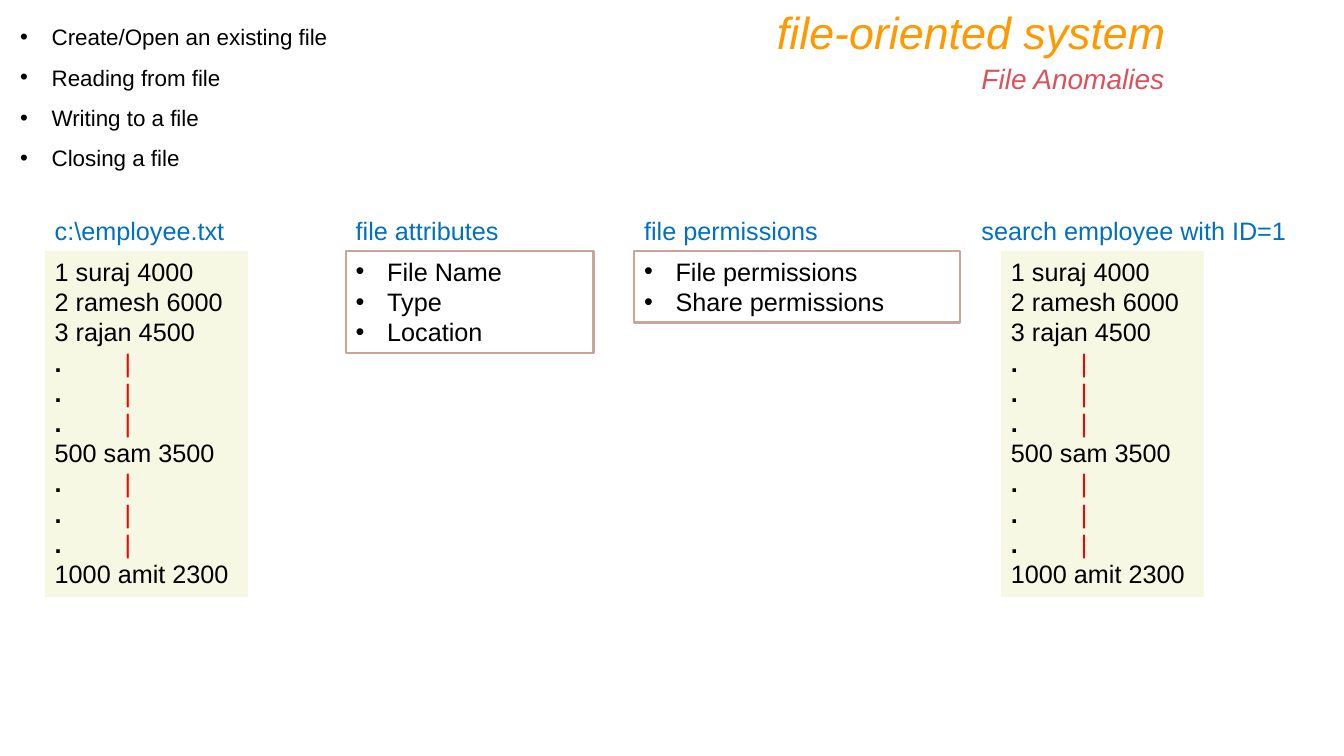
from pptx import Presentation
from pptx.dml.color import RGBColor
from pptx.enum.shapes import MSO_SHAPE
from pptx.enum.text import MSO_ANCHOR, MSO_AUTO_SIZE, PP_ALIGN
from pptx.util import Pt
from lxml import etree

A = "{http://schemas.openxmlformats.org/drawingml/2006/main}"
BLACK, BLUE, RED = "000000", "0070C0", "FF0000"
ORANGE, ROSE = "FF9900", "DC525C"
CREAM, TAN = "F6F8E4", "CAA496"
INDENT = 22.5
BAR_TAB = 50
LABEL_H = 29
GAP_ROW = [(".", True, BLACK), ("\t|", False, RED)]
EMPLOYEES = ["1 suraj 4000", "2 ramesh 6000", "3 rajan 4500", *[GAP_ROW] * 3,
             "500 sam 3500", *[GAP_ROW] * 3, "1000 amit 2300"]


def color(value):
    return RGBColor.from_string(value)


def add_bullet(p):
    pPr = p._p.get_or_add_pPr()
    pPr.set("marL", str(Pt(INDENT)))
    pPr.set("indent", str(-Pt(INDENT)))
    etree.SubElement(pPr, A + "buFont", typeface="Arial")
    etree.SubElement(pPr, A + "buChar", char="•")


def add_tab_stop(p, pos):
    tabs = etree.SubElement(p._p.get_or_add_pPr(), A + "tabLst")
    etree.SubElement(tabs, A + "tab", pos=str(Pt(pos)), algn="l")


def write(sp, lines, size=18, fill=BLACK, italic=False, align=PP_ALIGN.LEFT,
          bullet=False, spacing=None, tab=None):
    """Fill a shape with lines; a line is text or a list of (text, bold, colour)."""
    tf = sp.text_frame
    tf.word_wrap = True
    tf.auto_size = MSO_AUTO_SIZE.NONE
    tf.vertical_anchor = MSO_ANCHOR.TOP
    for i, line in enumerate(lines):
        p = tf.add_paragraph() if i else tf.paragraphs[0]
        if bullet:
            add_bullet(p)
        if tab:
            add_tab_stop(p, tab)
        p.alignment = align
        p.space_before = Pt(0)
        if spacing:
            p.line_spacing = spacing
        runs = [(line, False, fill)] if isinstance(line, str) else line
        for text, bold, run_fill in runs:
            r = p.add_run()
            r.text = text
            r.font.name, r.font.size = "Arial", Pt(size)
            r.font.bold, r.font.italic = bold, italic
            r.font.color.rgb = color(run_fill)


def place(sp, x, y, w, h):
    sp.left, sp.top, sp.width, sp.height = Pt(x), Pt(y), Pt(w), Pt(h)


def add_text(s, x, y, w, h, text, **style):
    sp = s.shapes.add_textbox(Pt(x), Pt(y), Pt(w), Pt(h))
    write(sp, [text], **style)


def add_box(s, x, y, w, h, lines, fill=None, line=None, **style):
    sp = s.shapes.add_shape(MSO_SHAPE.RECTANGLE, Pt(x), Pt(y), Pt(w), Pt(h))
    sp.shadow.inherit = False
    if fill:
        sp.fill.solid()
        sp.fill.fore_color.rgb = color(fill)
    else:
        sp.fill.background()
    if line:
        sp.line.color.rgb = color(line)
        sp.line.width = Pt(1.5)
    else:
        sp.line.fill.background()
    write(sp, lines, **style)


def heading(s, x, y, w):
    # Title with its subtitle under the right end
    place(s.shapes.title, x, y, w, 46)
    write(s.shapes.title, ["file-oriented system"], size=32, fill=ORANGE,
          italic=True, align=PP_ALIGN.RIGHT)
    add_text(s, x + w - 146, y + 40.3, 150, 32, "File Anomalies",
             size=20, fill=ROSE, italic=True)


def operations(s, x, y, w, h):
    # List of file operations
    body = s.placeholders[1]
    place(body, x, y, w, h)
    write(body, ["Create/Open an existing file", "Reading from file",
                 "Writing to a file", "Closing a file"],
          size=16, bullet=True, spacing=1.5)


def bullet_panel(s, x, y, w, h, label, items):
    # Label above an outlined list
    add_text(s, x, y, w, LABEL_H, label, fill=BLUE)
    add_box(s, x, y + LABEL_H, w, h - LABEL_H, items, line=TAN, bullet=True)


def employee_panel(s, x, y, w, h, label, label_x, label_w):
    # Label above the employee records
    add_text(s, label_x, y, label_w, LABEL_H, label, fill=BLUE)
    add_box(s, x, y + LABEL_H, w, h - LABEL_H, EMPLOYEES, fill=CREAM,
            tab=BAR_TAB)


def main():
    prs = Presentation()
    prs.slide_width, prs.slide_height = Pt(960), Pt(540)
    s = prs.slides.add_slide(prs.slide_layouts[1])
    heading(s, 120, 0, 720)
    operations(s, 7.2, 3.6, 387, 120)
    top = 150.4
    employee_panel(s, 32, top, 145, 276, r"c:\employee.txt", 32, 190)
    bullet_panel(s, 247, top, 177, 102, "file attributes",
                 ["File Name", "Type", "Location"])
    bullet_panel(s, 453, top, 233, 80, "file permissions",
                 ["File permissions", "Share permissions"])
    employee_panel(s, 715, top, 145, 276, "search employee with ID=1", 694, 246)
    prs.save("out.pptx")


if __name__ == "__main__":
    main()
